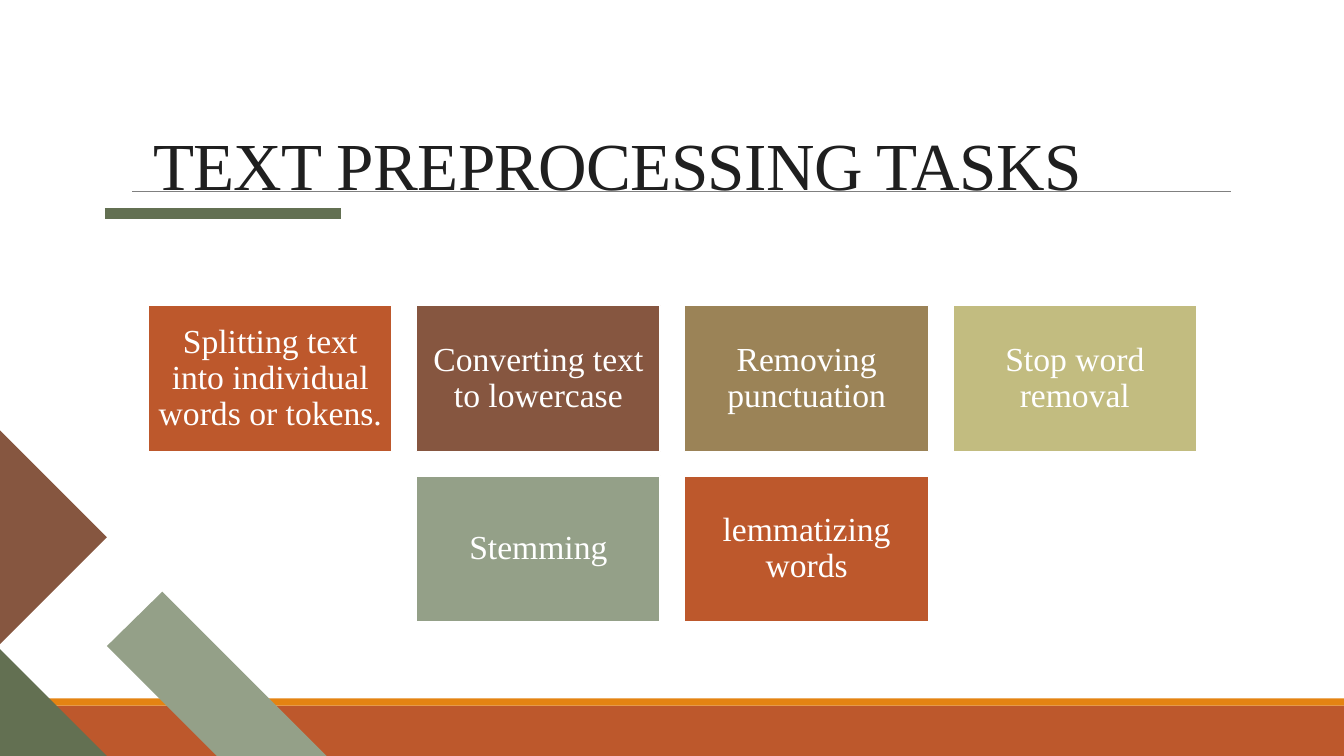
from dataclasses import dataclass

from lxml.etree import SubElement
from pptx import Presentation
from pptx.dml.color import RGBColor as RGB
from pptx.enum.shapes import MSO_CONNECTOR as CONN, MSO_SHAPE as SHAPE
from pptx.enum.text import MSO_ANCHOR as ANCHOR, MSO_AUTO_SIZE as FIT, PP_ALIGN as ALIGN
from pptx.oxml.ns import qn
from pptx.util import Inches, Pt


@dataclass(frozen=True)
class Theme:
    rust: str = "BD582C"
    orange: str = "E48312"
    brown: str = "865640"
    tan: str = "9B8357"
    khaki: str = "C2BC80"
    sage: str = "94A088"
    moss: str = "637052"
    grey: str = "808080"
    ink: str = "1F1F1F"
    white: str = "FFFFFF"
    font: str = "Times New Roman"
    title_size: int = 48
    tile_size: int = 24


T = Theme()

TITLE = "TEXT PREPROCESSING TASKS"
TASK_ROWS = [
    [
        ("Splitting text into individual words or tokens.", T.rust),
        ("Converting text to lowercase", T.brown),
        ("Removing punctuation", T.tan),
        ("Stop word removal", T.khaki),
    ],
    [("Stemming", T.sage), ("lemmatizing words", T.rust)],
]
BANDS = [(7, 0.5, T.rust), (6.93, 0.07, T.orange)]
CORNER_PIECES = [
    ([(3.24, 7.5), (2.15, 7.5), (1.06, 6.41), (1.61, 5.87)], T.sage),
    ([(1.06, 7.5), (0, 7.5), (0, 6.44)], T.moss),
    ([(0, 4.27), (1.06, 5.33), (0, 6.39)], T.brown),
]
RULES = [(1.31, 12.21, 1.9, T.grey, 0.5), (1.04, 3.38, 2.12, T.moss, 8)]

SLIDE_W, SLIDE_H = 13.33, 7.5
TILE_W, TILE_H, GAP = 2.42, 1.45, 0.24
TILES_TOP, TILES_MIDDLE = 3.03, 6.67


def paint(sp, color):
    sp.shadow.inherit = False
    sp.fill.solid()
    sp.fill.fore_color.rgb = RGB.from_string(color)
    sp.line.fill.background()


def add_box(shapes, x, y, w, h, color):
    sp = shapes.add_shape(SHAPE.RECTANGLE, *map(Inches, (x, y, w, h)))
    paint(sp, color)
    return sp


def add_piece(shapes, points, color):
    corners = [(Inches(x), Inches(y)) for x, y in points]
    builder = shapes.build_freeform(*corners[0], scale=1.0)
    builder.add_line_segments(corners[1:], close=True)
    paint(builder.convert_to_shape(), color)


def add_rule(shapes, x1, x2, y, color, width):
    line = shapes.add_connector(CONN.STRAIGHT, *map(Inches, (x1, y, x2, y)))
    line.line.color.rgb = RGB.from_string(color)
    line.line.width = Pt(width)
    SubElement(line._element.spPr, qn("a:effectLst"))


def write(sp, text, size, color, align, spacing):
    tf = sp.text_frame
    tf.text = text
    tf.word_wrap = True
    tf.auto_size = FIT.NONE
    tf.vertical_anchor = ANCHOR.MIDDLE
    p = tf.paragraphs[0]
    p.alignment = align
    p.line_spacing = spacing
    r = p.runs[0]
    r.font.name = T.font
    r.font.size = Pt(size)
    r.font.color.rgb = RGB.from_string(color)
    return r


def add_tile(shapes, x, y, text, color):
    sp = add_box(shapes, x, y, TILE_W, TILE_H, color)
    sp.line.color.rgb = RGB.from_string(T.white)
    sp.line.width = Pt(1.25)
    tf = sp.text_frame
    tf.margin_left = tf.margin_right = tf.margin_top = tf.margin_bottom = Inches(0.1)
    write(sp, text, T.tile_size, T.white, ALIGN.CENTER, 0.9)


def main():
    prs = Presentation()
    prs.slide_width, prs.slide_height = Inches(SLIDE_W), Inches(SLIDE_H)
    shapes = prs.slides.add_slide(prs.slide_layouts[5]).shapes

    for top, height, color in BANDS:
        add_box(shapes, 0, top, SLIDE_W, height, color)
    for points, color in CORNER_PIECES:
        add_piece(shapes, points, color)
    for rule in RULES:
        add_rule(shapes, *rule)

    title = shapes.title
    title.left, title.top, title.width, title.height = map(Inches, (1.42, 0.97, 10.5, 1.43))
    r = write(title, TITLE, T.title_size, T.ink, ALIGN.LEFT, 0.85)
    r.font._element.set("spc", "-50")
    shapes._spTree.append(title._element)

    for row, tasks in enumerate(TASK_ROWS):
        row_w = len(tasks) * (TILE_W + GAP) - GAP
        y = TILES_TOP + row * (TILE_H + GAP)
        for col, (text, color) in enumerate(tasks):
            x = TILES_MIDDLE - row_w / 2 + col * (TILE_W + GAP)
            add_tile(shapes, x, y, text, color)

    prs.save("out.pptx")


if __name__ == "__main__":
    main()
